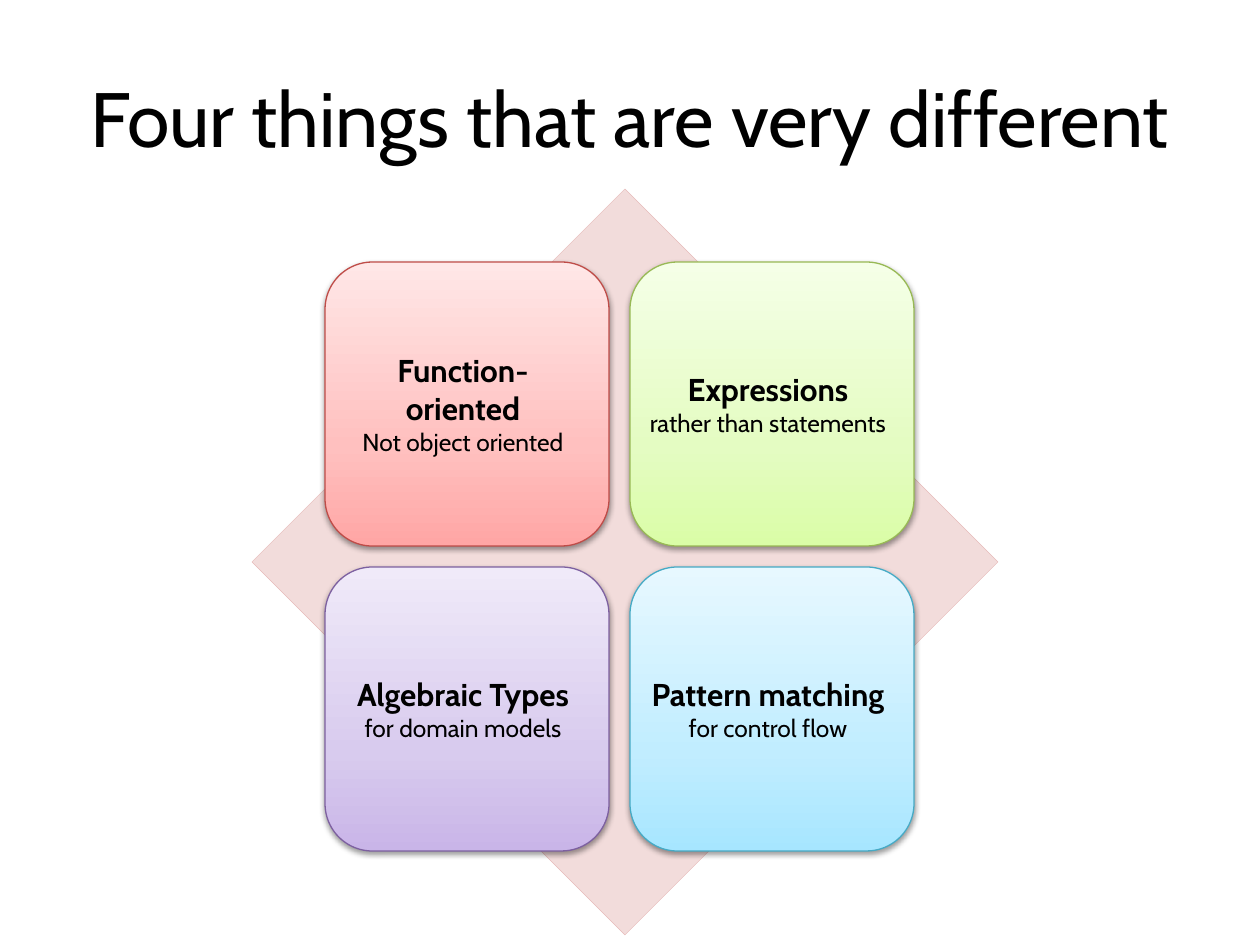
from lxml import etree
from pptx import Presentation
from pptx.dml.color import RGBColor
from pptx.enum.shapes import MSO_SHAPE
from pptx.enum.text import MSO_ANCHOR, MSO_AUTO_SIZE, PP_ALIGN
from pptx.oxml.ns import qn
from pptx.util import Pt

DIAMOND, ROUNDED = MSO_SHAPE.DIAMOND, MSO_SHAPE.ROUNDED_RECTANGLE
MIDDLE, CENTER = MSO_ANCHOR.MIDDLE, PP_ALIGN.CENTER
PX = 914400 / 126
FONT = "Cabin"


def px(*lengths):
    return [round(length * PX) for length in lengths]


def color(code):
    return RGBColor.from_string(code)


deck = Presentation()
deck.slide_width, deck.slide_height = px(1260, 945)
page = deck.slides.add_slide(deck.slide_layouts[5])

# Title
title = page.shapes.title
title.left, title.top, title.width, title.height = px(63, 38, 1134, 158)
title.text_frame.auto_size = MSO_AUTO_SIZE.NONE
title.text_frame.vertical_anchor = MIDDLE
para = title.text_frame.paragraphs[0]
para.alignment = CENTER
span = para.add_run()
span.text = "Four things that are very different"
span.font.name, span.font.size = FONT, Pt(44)
span.font.color.rgb = color("000000")

# Diamond behind the cards
diamond = page.shapes.add_shape(DIAMOND, *px(252, 189, 746, 746))
diamond.shadow.inherit = False
diamond.fill.solid()
diamond.fill.fore_color.rgb = color("F2DCDB")
diamond.line.color.rgb = color("E6B9B8")
diamond.line.width = Pt(0.25)

# Cards: column, row, heading, detail, line, gradient from bottom to top
cards = [
    (1, 1, "Pattern matching", "for control flow", "46AAC5", ("A7E6FF", "C1EDFF", "E7F8FF")),
    (0, 1, "Algebraic Types", "for domain models", "7D60A0", ("C9B5E8", "D8CBEE", "F0EAF9")),
    (0, 0, "Function-oriented", "Not object oriented", "BF4C48", ("FFA6A5", "FFC0BF", "FFE7E7")),
    (1, 0, "Expressions", "rather than statements", "98B955", ("DAFDA7", "E4FCC2", "F5FFE7")),
]
SIZE, PITCH = 284, 305
for column, row, heading, detail, line, shades in cards:
    card = page.shapes.add_shape(
        ROUNDED, *px(325 + column * PITCH, 262 + row * PITCH, SIZE, SIZE))
    card.line.color.rgb = color(line)
    card.line.width = Pt(0.75)

    # Three-stop gradient
    card.fill.gradient()
    card.fill.gradient_angle = 90
    properties = card._element.spPr
    stops = properties.find(".//" + qn("a:gsLst"))
    stops.clear()
    for percent, shade in zip((0, 35, 100), shades):
        stop = etree.SubElement(stops, qn("a:gs"), pos=str(percent * 1000))
        etree.SubElement(stop, qn("a:srgbClr"), val=shade)

    # Soft shadow straight below
    card.shadow.inherit = False
    shadow = etree.SubElement(
        properties.find(qn("a:effectLst")), qn("a:outerShdw"),
        blurRad=str(Pt(3.1)), dist=str(Pt(1.6)), dir="5400000", rotWithShape="0")
    tint = etree.SubElement(shadow, qn("a:srgbClr"), val="000000")
    etree.SubElement(tint, qn("a:alpha"), val="38000")

    # Heading and detail
    box = card.text_frame
    box.word_wrap = True
    box.vertical_anchor = MIDDLE
    box.margin_left, box.margin_top, box.margin_right, box.margin_bottom = px(5, 5, 13, 6)
    for index, (text, size, bold) in enumerate([(heading, 18, True), (detail, 14, False)]):
        para = box.add_paragraph() if index else box.paragraphs[0]
        para.alignment = CENTER
        span = para.add_run()
        span.text = text
        span.font.name, span.font.size, span.font.bold = FONT, Pt(size), bold
        span.font.color.rgb = color("000000")

deck.save("out.pptx")
